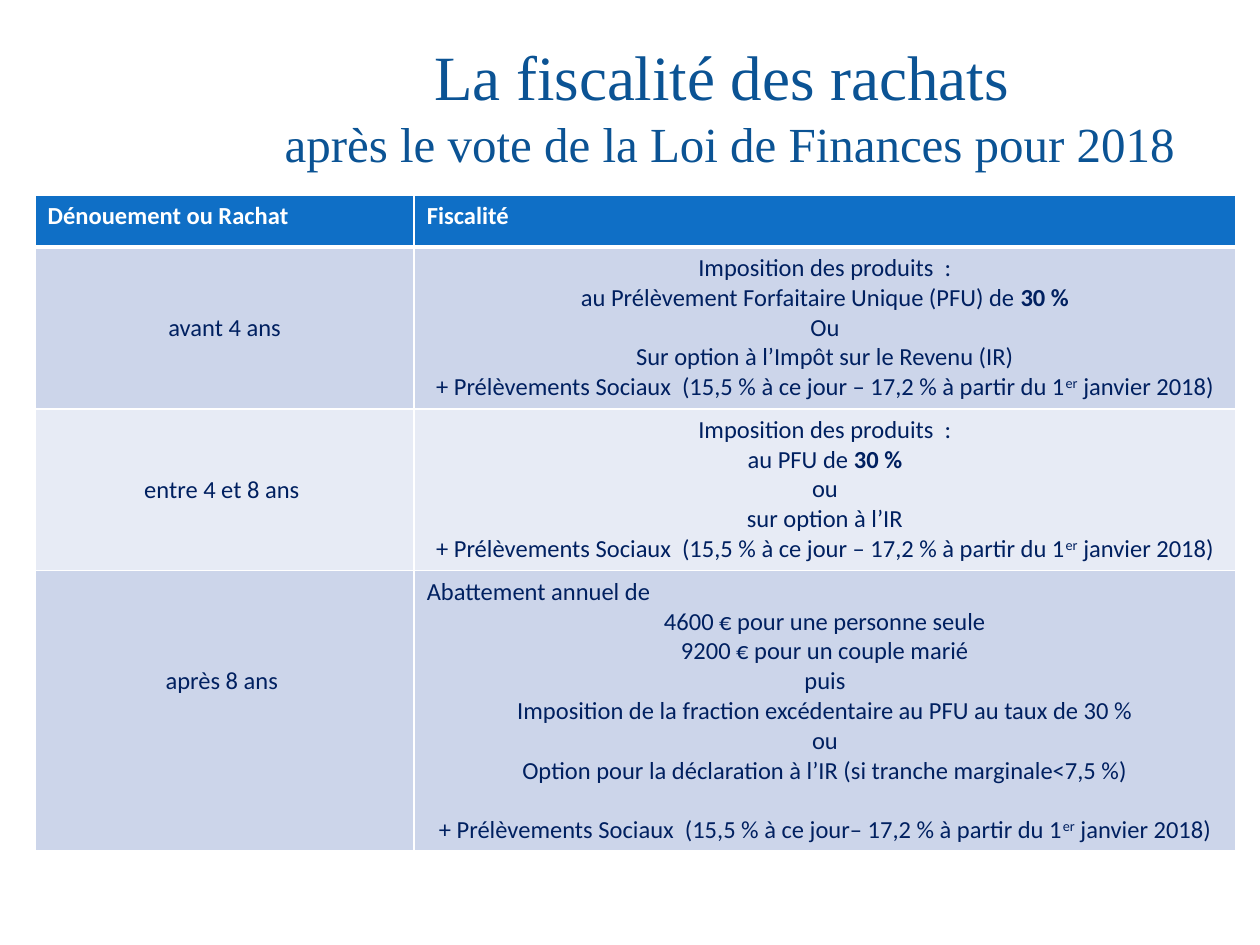
from dataclasses import dataclass

from lxml.etree import SubElement
from pptx import Presentation
from pptx.dml.color import RGBColor as Color
from pptx.enum.text import MSO_ANCHOR as Anchor, PP_ALIGN as Align
from pptx.oxml.ns import qn
from pptx.util import Pt


@dataclass(frozen=True)
class Theme:
    title: str = "0B5394"
    header: str = "0F6FC6"
    ink: str = "002060"
    paper: str = "FFFFFF"
    bands: tuple = ("CCD5EA", "E7EBF5")
    title_font: str = "Times New Roman"
    body_font: str = "Calibri"
    title_size: float = 36
    subtitle_size: float = 28
    body_size: float = 14
    line: float = 17.1
    inset: float = 3.6


@dataclass(frozen=True)
class Span:
    text: str
    bold: bool = False
    raised: bool = False


@dataclass(frozen=True)
class Line:
    spans: tuple
    align: Align = Align.CENTER
    gap: float = 0


@dataclass(frozen=True)
class Period:
    label: str
    lines: tuple
    lines_above: int
    height: float


THEME = Theme()


def plain(text: str, align: Align = Align.CENTER) -> Line:
    return Line((Span(text),), align)


def flat_tax(text: str) -> Line:
    return Line((Span(text), Span("30 %", bold=True)))


def social_charges(dash: str, gap: float = 0) -> Line:
    start = f"+ Prélèvements Sociaux  (15,5 % à ce jour{dash} 17,2 % à partir du 1"
    return Line((Span(start), Span("er", raised=True), Span(" janvier 2018)")), gap=gap)


PERIODS = (
    Period("avant 4 ans", (
        plain("Imposition des produits  :"),
        flat_tax("au Prélèvement Forfaitaire Unique (PFU) de "),
        plain("Ou"),
        plain("Sur option à l’Impôt sur le Revenu (IR)"),
        social_charges(" –"),
    ), 2, 92.5),
    Period("entre 4 et 8 ans ", (
        plain("Imposition des produits  :"),
        flat_tax("au PFU de "),
        plain("ou"),
        plain("sur option à l’IR"),
        social_charges(" –"),
    ), 2, 92.5),
    Period("après 8 ans ", (
        plain("Abattement annuel de", Align.LEFT),
        plain("4600 € pour une personne seule"),
        plain("9200 € pour un couple marié"),
        plain("puis"),
        plain("Imposition de la fraction excédentaire au PFU au taux de 30 %"),
        plain("ou"),
        plain("Option pour la déclaration à l’IR (si tranche marginale<7,5 %)"),
        social_charges("–", THEME.line),
    ), 3, 160),
)


def add_span(para, text: str, color: str, **formats):
    span = para.add_run()
    span.text = text
    for name, value in formats.items():
        setattr(span.font, name, value)
    span.font.color.rgb = Color.from_string(color)
    return span


def add_title(page) -> None:
    box = page.shapes.add_textbox(Pt(139), Pt(21.6), Pt(556), Pt(67))
    frame = box.text_frame
    formats = {"word_wrap": True, "vertical_anchor": Anchor.TOP,
               "margin_top": 0, "margin_bottom": 0}
    for name, value in formats.items():
        setattr(frame, name, value)
    para = frame.paragraphs[0]
    para.alignment = Align.CENTER
    add_span(para, "La fiscalité des rachats ", THEME.title,
             name=THEME.title_font, size=Pt(THEME.title_size))
    para.add_line_break()
    add_span(para, "après le vote de la Loi de Finances pour 2018", THEME.title,
             name=THEME.title_font, size=Pt(THEME.subtitle_size))


def set_borders(cell, bottom: float = 1, top: float = 1) -> None:
    properties = cell._tc.get_or_add_tcPr()
    widths = {"lnL": 1, "lnR": 1, "lnT": top, "lnB": bottom}
    for position, (side, width) in enumerate(widths.items()):
        edge = SubElement(properties, qn(f"a:{side}"), w=str(Pt(width)))
        fill = SubElement(edge, qn("a:solidFill"))
        SubElement(fill, qn("a:srgbClr"), val=THEME.paper)
        properties.insert(position, edge)


def fill_cell(cell, lines: tuple, fill: str, color: str, lines_above: int = 0) -> None:
    cell.fill.solid()
    cell.fill.fore_color.rgb = Color.from_string(fill)
    cell.margin_top = Pt(THEME.inset + lines_above * THEME.line)
    frame = cell.text_frame
    for index, line in enumerate(lines):
        para = frame.add_paragraph() if index else frame.paragraphs[0]
        para.alignment = line.align
        if line.gap:
            para.space_before = Pt(line.gap)
        for part in line.spans:
            span = add_span(para, part.text, color, name=THEME.body_font,
                            size=Pt(THEME.body_size), bold=part.bold)
            if part.raised:
                span.font._element.set("baseline", "30000")


def add_tax_table(page) -> None:
    heights = (29.5, *(period.height for period in PERIODS))
    widths = (216.7, 469.4)
    table = page.shapes.add_table(len(heights), len(widths), Pt(20), Pt(111.6),
                                  Pt(sum(widths)), Pt(sum(heights))).table
    for column, width in zip(table.columns, widths):
        column.width = Pt(width)
    for row, height in zip(table.rows, heights):
        row.height = Pt(height)
    for column, text in enumerate(("Dénouement ou Rachat", "Fiscalité")):
        cell = table.cell(0, column)
        heading = Line((Span(text, bold=True),), Align.LEFT)
        fill_cell(cell, (heading,), THEME.header, THEME.paper)
        set_borders(cell, bottom=3)
    for row, period in enumerate(PERIODS, start=1):
        fill = THEME.bands[(row - 1) % len(THEME.bands)]
        label, rules = table.cell(row, 0), table.cell(row, 1)
        fill_cell(label, (plain(period.label),), fill, THEME.ink, period.lines_above)
        fill_cell(rules, period.lines, fill, THEME.ink)
        for cell in (label, rules):
            set_borders(cell, top=3 if row == 1 else 1)


def main() -> None:
    """Build the slide on the taxation of withdrawals."""
    deck = Presentation()
    deck.slide_width, deck.slide_height = Pt(720), Pt(540)
    page = deck.slides.add_slide(deck.slide_layouts[6])
    add_title(page)
    add_tax_table(page)
    deck.save("out.pptx")


if __name__ == "__main__":
    main()
